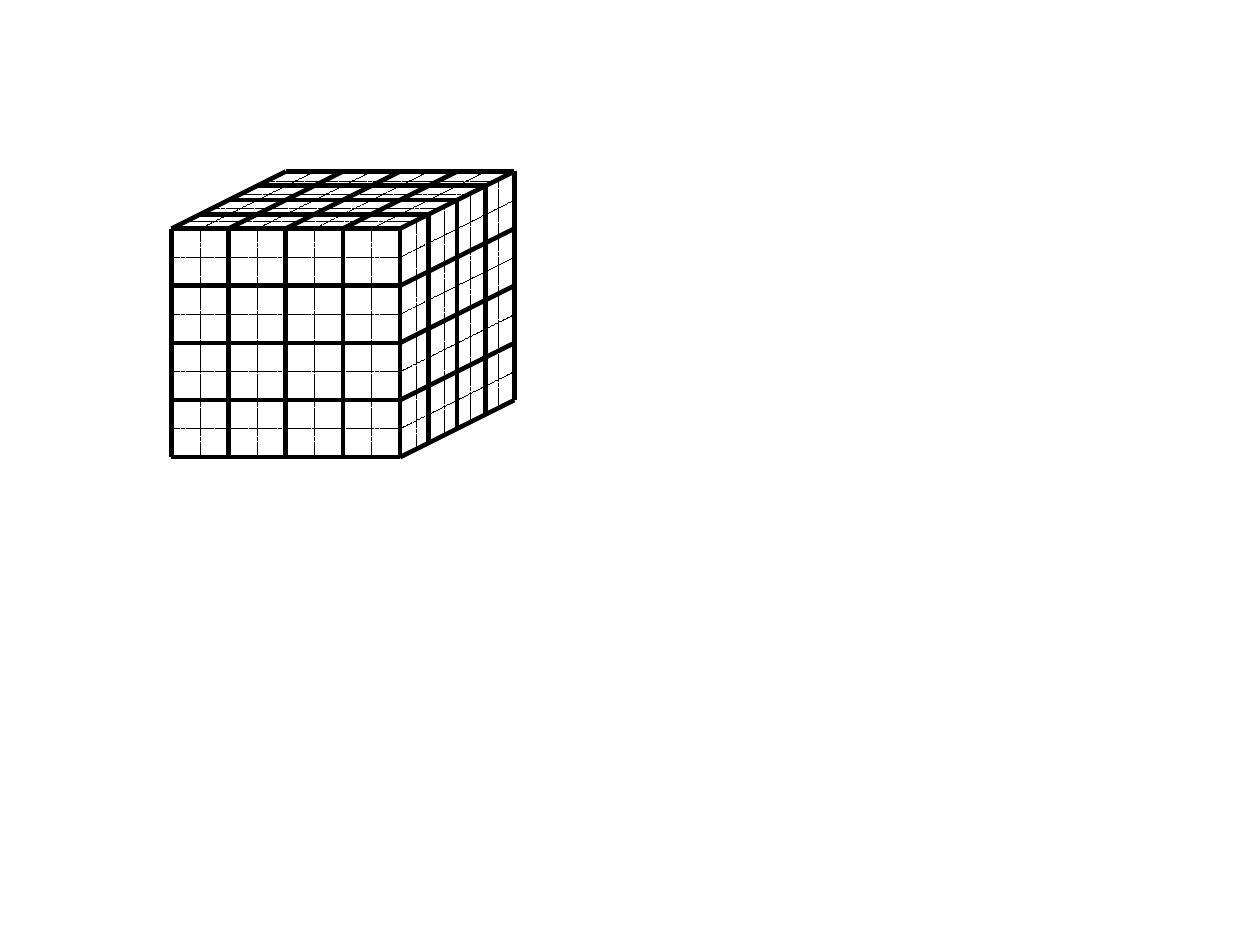
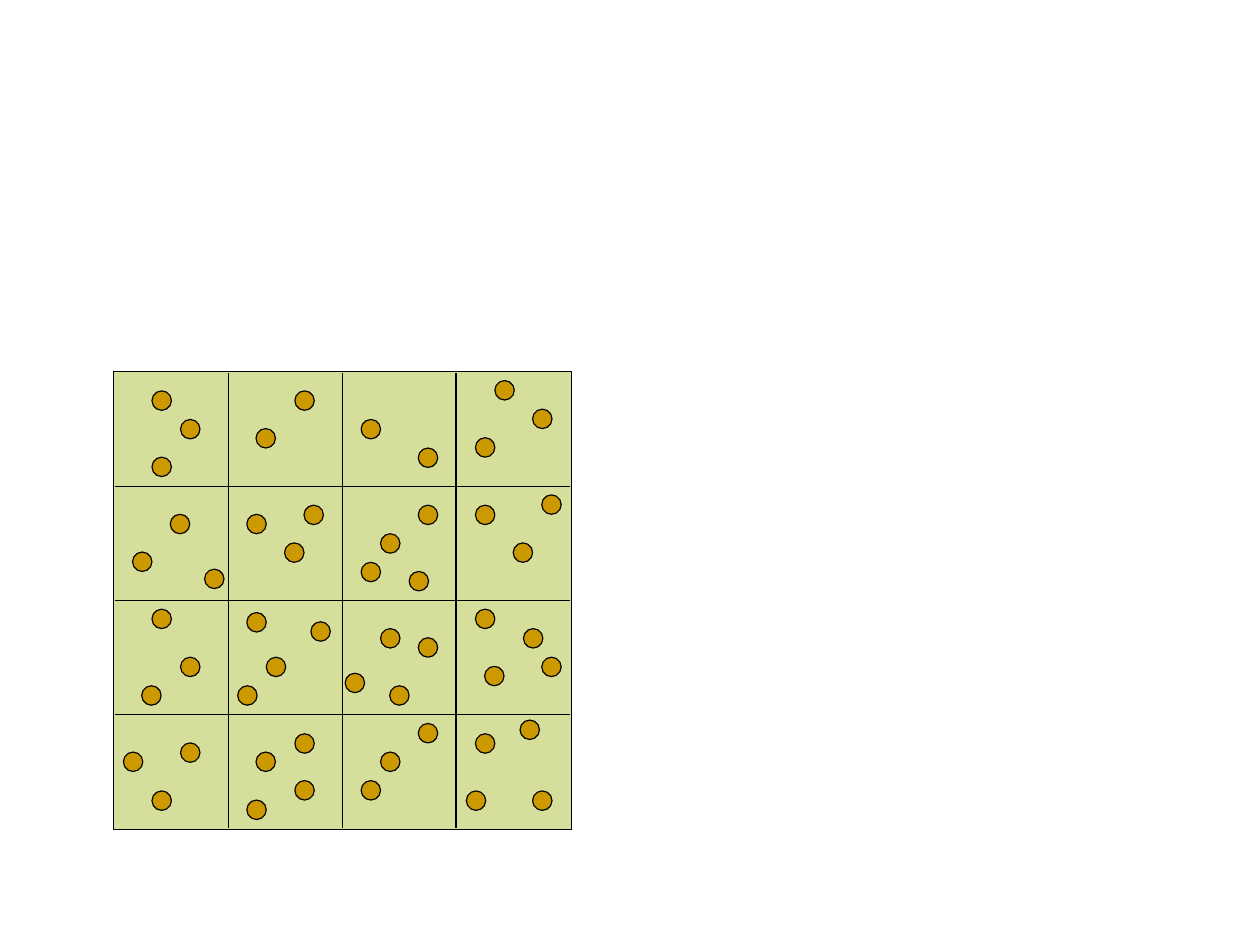
"""Build two slides: a subdivided cube, and a square field of dots counted by cell."""
from dataclasses import dataclass

from pptx import Presentation
from pptx.dml.color import RGBColor
from pptx.enum.dml import MSO_LINE
from pptx.enum.shapes import MSO_CONNECTOR, MSO_SHAPE
from pptx.oxml.ns import qn
from pptx.util import Cm, Inches, Pt
from lxml.etree import SubElement


@dataclass(frozen=True)
class Theme:
    """Colours and line styles of the deck."""
    ink = RGBColor.from_string("000000")
    field = RGBColor.from_string("AFBF39")
    dot = RGBColor.from_string("CC9900")
    field_opacity = 50
    block_edge = {"width": Pt(2.89)}
    half_edge = {"width": Pt(0.01), "dash_style": MSO_LINE.SQUARE_DOT}
    outline = {"width": Pt(0.75)}


SLIDE_WIDTH, SLIDE_HEIGHT = Cm(28), Cm(21)

CUBE_CORNER = (1.5, 2)
RIGHT_CORNER = (3.5, 2)
ACROSS, DOWN, BACK = (2, 0), (0, 2), (1, -0.5)
BLOCK_SHARES = [index / 4 for index in range(5)]
HALF_SHARES = [(index + 0.5) / 4 for index in range(4)]
RIGHT_HALVES = (0.14, 0.39, 0.62, 0.86)
TOP_HALVES = (0.12, 0.35, 0.59, 0.83)

CUBE_LINES = [
    {"corner": CUBE_CORNER, "along": DOWN, "step": ACROSS, "first": 0, "halves": HALF_SHARES},
    {"corner": CUBE_CORNER, "along": ACROSS, "step": DOWN, "first": 0, "halves": HALF_SHARES},
    {"corner": CUBE_CORNER, "along": BACK, "step": ACROSS, "first": 0, "halves": HALF_SHARES},
    {"corner": RIGHT_CORNER, "along": BACK, "step": DOWN, "first": 1, "halves": HALF_SHARES},
    {"corner": RIGHT_CORNER, "along": DOWN, "step": BACK, "first": 1, "halves": RIGHT_HALVES},
    {"corner": CUBE_CORNER, "along": ACROSS, "step": BACK, "first": 1, "halves": TOP_HALVES},
]

FIELD_LEFT, FIELD_TOP, CELL = 0.99, 3.25, 1.0
FIELD_SIDE, GRID_SIDE, DOT_SIZE = 4.01, 3.98, 0.17

FIELD_DOTS = [
    [
        [(0.34, 0.17), (0.59, 0.42), (0.34, 0.75)],
        [(0.59, 0.17), (0.25, 0.5)],
        [(0.17, 0.42), (0.67, 0.67)],
        [(0.34, 0.08), (0.67, 0.33), (0.17, 0.58)],
    ],
    [
        [(0.5, 0.25), (0.17, 0.58), (0.8, 0.73)],
        [(0.17, 0.25), (0.67, 0.17), (0.5, 0.5)],
        [(0.67, 0.17), (0.34, 0.42), (0.17, 0.67), (0.59, 0.75)],
        [(0.17, 0.17), (0.75, 0.08), (0.5, 0.5)],
    ],
    [
        [(0.34, 0.08), (0.59, 0.5), (0.25, 0.75)],
        [(0.17, 0.11), (0.73, 0.19), (0.34, 0.5), (0.09, 0.75)],
        [(0.34, 0.25), (0.67, 0.33), (0.03, 0.64), (0.42, 0.75)],
        [(0.17, 0.08), (0.59, 0.25), (0.75, 0.5), (0.25, 0.58)],
    ],
    [
        [(0.59, 0.25), (0.09, 0.33), (0.34, 0.67)],
        [(0.59, 0.17), (0.25, 0.33), (0.59, 0.58), (0.17, 0.75)],
        [(0.67, 0.08), (0.34, 0.33), (0.17, 0.58)],
        [(0.56, 0.05), (0.17, 0.17), (0.09, 0.67), (0.67, 0.67)],
    ],
]


def style_line(line, style):
    line.color.rgb = Theme.ink
    for name, value in style.items():
        setattr(line, name, value)


def add_line(page, start, end, style):
    points = [Inches(value) for value in (*start, *end)]
    connector = page.shapes.add_connector(MSO_CONNECTOR.STRAIGHT, *points)
    style_line(connector.line, style)
    SubElement(connector._element.spPr, qn("a:effectLst"))


def add_figure(page, kind, left, top, side, colour):
    figure = page.shapes.add_shape(kind, *(Inches(value) for value in (left, top, side, side)))
    figure.shadow.inherit = False
    figure.fill.solid()
    figure.fill.fore_color.rgb = colour
    style_line(figure.line, Theme.outline)
    return figure


def add_family(page, family, shares, style):
    """Draw parallel lines at the given shares of the step across a cube face."""
    for share in shares:
        start = [origin + share * step for origin, step in zip(family["corner"], family["step"])]
        end = [begin + length for begin, length in zip(start, family["along"])]
        add_line(page, start, end, style)


def build_cube(page):
    for family in CUBE_LINES:
        add_family(page, family, family["halves"], Theme.half_edge)
    for family in CUBE_LINES:
        add_family(page, family, BLOCK_SHARES[family["first"]:], Theme.block_edge)


def build_field(page):
    field = add_figure(page, MSO_SHAPE.RECTANGLE, FIELD_LEFT, FIELD_TOP, FIELD_SIDE, Theme.field)
    colour = field._element.spPr.find(qn("a:solidFill"))[0]
    SubElement(colour, qn("a:alpha"), val=str(Theme.field_opacity * 1000))

    for row, cells in enumerate(FIELD_DOTS):
        for column, dots in enumerate(cells):
            for across, down in dots:
                left = FIELD_LEFT + (column + across) * CELL
                top = FIELD_TOP + (row + down) * CELL
                add_figure(page, MSO_SHAPE.OVAL, left, top, DOT_SIZE, Theme.dot)

    near = (FIELD_SIDE - GRID_SIDE) / 2
    far = near + GRID_SIDE
    for index in range(1, len(FIELD_DOTS)):
        middle = near + index * GRID_SIDE / len(FIELD_DOTS)
        for ends in (((near, middle), (far, middle)), ((middle, near), (middle, far))):
            start, end = [(FIELD_LEFT + x, FIELD_TOP + y) for x, y in ends]
            add_line(page, start, end, Theme.outline)


def main():
    deck = Presentation()
    deck.slide_width, deck.slide_height = SLIDE_WIDTH, SLIDE_HEIGHT
    blank = deck.slide_layouts.get_by_name("Blank")
    for build in (build_cube, build_field):
        build(deck.slides.add_slide(blank))
    deck.save("out.pptx")


if __name__ == "__main__":
    main()
